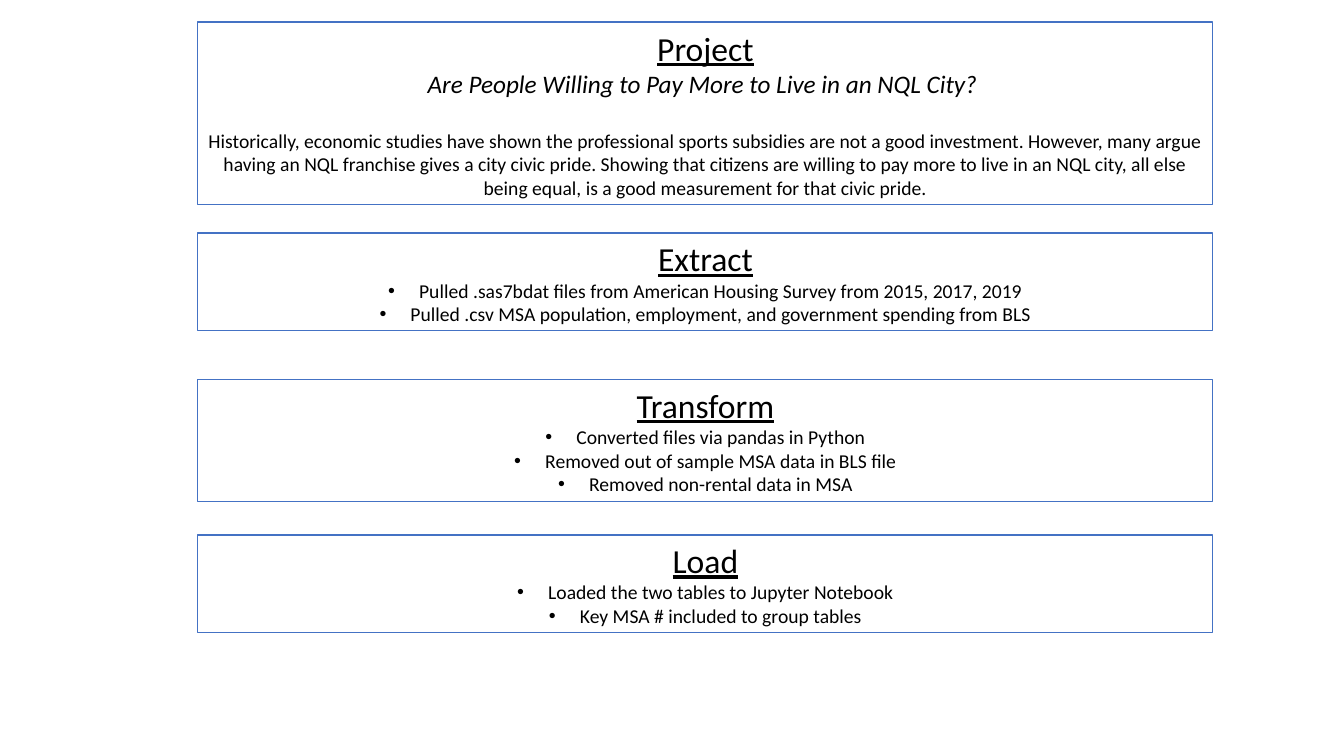
from lxml import etree
from pptx import Presentation
from pptx.dml.color import RGBColor
from pptx.enum.shapes import MSO_SHAPE
from pptx.enum.text import MSO_ANCHOR, MSO_AUTO_SIZE, PP_ALIGN
from pptx.oxml.ns import qn
from pptx.util import Pt

RECTANGLE = MSO_SHAPE.RECTANGLE
CENTER = PP_ALIGN.CENTER
MIDDLE, TOP = MSO_ANCHOR.MIDDLE, MSO_ANCHOR.TOP
FIT_TEXT = MSO_AUTO_SIZE.SHAPE_TO_FIT_TEXT

STYLES = {
    "heading": {"size": 24, "underline": True},
    "question": {"size": 18, "italic": True},
    "body": {"size": 14, "before": 22},
    "bullet": {"size": 14},
}

PANELS = [
    (22, 183, MIDDLE, [
        ("heading", "Project"),
        ("question", "Are People Willing to Pay More to Live in an NQL City? "),
        ("body", "Historically, economic studies have shown the professional sports "
                 "subsidies are not a good investment. However, many argue having an NQL "
                 "franchise gives a city civic pride. Showing that citizens are willing to "
                 "pay more to live in an NQL city, all else being equal, is a good "
                 "measurement for that civic pride."),
    ]),
    (233, 98, MIDDLE, [
        ("heading", "Extract"),
        ("bullet", "Pulled .sas7bdat files from American Housing Survey from 2015, 2017, 2019"),
        ("bullet", "Pulled .csv MSA population, employment, and government spending from BLS"),
    ]),
    (380, 122, TOP, [
        ("heading", "Transform"),
        ("bullet", "Converted files via pandas in Python"),
        ("bullet", "Removed out of sample MSA data in BLS file"),
        ("bullet", "Removed non-rental data in MSA"),
    ]),
    (535, 98, TOP, [
        ("heading", "Load"),
        ("bullet", "Loaded the two tables to Jupyter Notebook"),
        ("bullet", "Key MSA # included to group tables"),
    ]),
]

SLIDE_WIDTH, SLIDE_HEIGHT = 1344, 756
PANEL_LEFT, PANEL_WIDTH = 198, 1015
BULLET_INDENT = 31
FONT = "Calibri"
LINE_COLOR, TEXT_COLOR = "4472C4", "000000"


def px(value):
    return round(value * 914400 / 100.8)


def color(value):
    return RGBColor.from_string(value)


def add_bullet(paragraph):
    properties = paragraph._p.get_or_add_pPr()
    properties.set("marL", str(px(BULLET_INDENT)))
    properties.set("indent", str(-px(BULLET_INDENT)))
    etree.SubElement(properties, qn("a:buFont")).set("typeface", "Arial")
    etree.SubElement(properties, qn("a:buChar")).set("char", "•")


def write_paragraph(paragraph, kind, text):
    style = STYLES[kind]
    paragraph.text = text
    paragraph.alignment = CENTER
    paragraph.space_before = Pt(style.get("before", 0))
    if kind == "bullet":
        add_bullet(paragraph)
    font = paragraph.runs[0].font
    font.name = FONT
    font.size = Pt(style["size"])
    font.underline = style.get("underline", False)
    font.italic = style.get("italic", False)
    font.color.rgb = color(TEXT_COLOR)


def add_panel(slide, top, height, anchor, lines):
    shape = slide.shapes.add_shape(
        RECTANGLE, px(PANEL_LEFT), px(top), px(PANEL_WIDTH), px(height))
    shape.shadow.inherit = False
    shape.fill.background()
    shape.line.color.rgb = color(LINE_COLOR)
    shape.line.width = Pt(0.75)
    text_frame = shape.text_frame
    text_frame.word_wrap = True
    text_frame.auto_size = FIT_TEXT
    text_frame.vertical_anchor = anchor
    text_frame.text = "\n".join(text for kind, text in lines)
    for paragraph, (kind, text) in zip(text_frame.paragraphs, lines):
        write_paragraph(paragraph, kind, text)


def main():
    presentation = Presentation()
    presentation.slide_width = px(SLIDE_WIDTH)
    presentation.slide_height = px(SLIDE_HEIGHT)
    slide = presentation.slides.add_slide(presentation.slide_layouts[6])
    for panel in PANELS:
        add_panel(slide, *panel)
    presentation.save("out.pptx")


if __name__ == "__main__":
    main()
